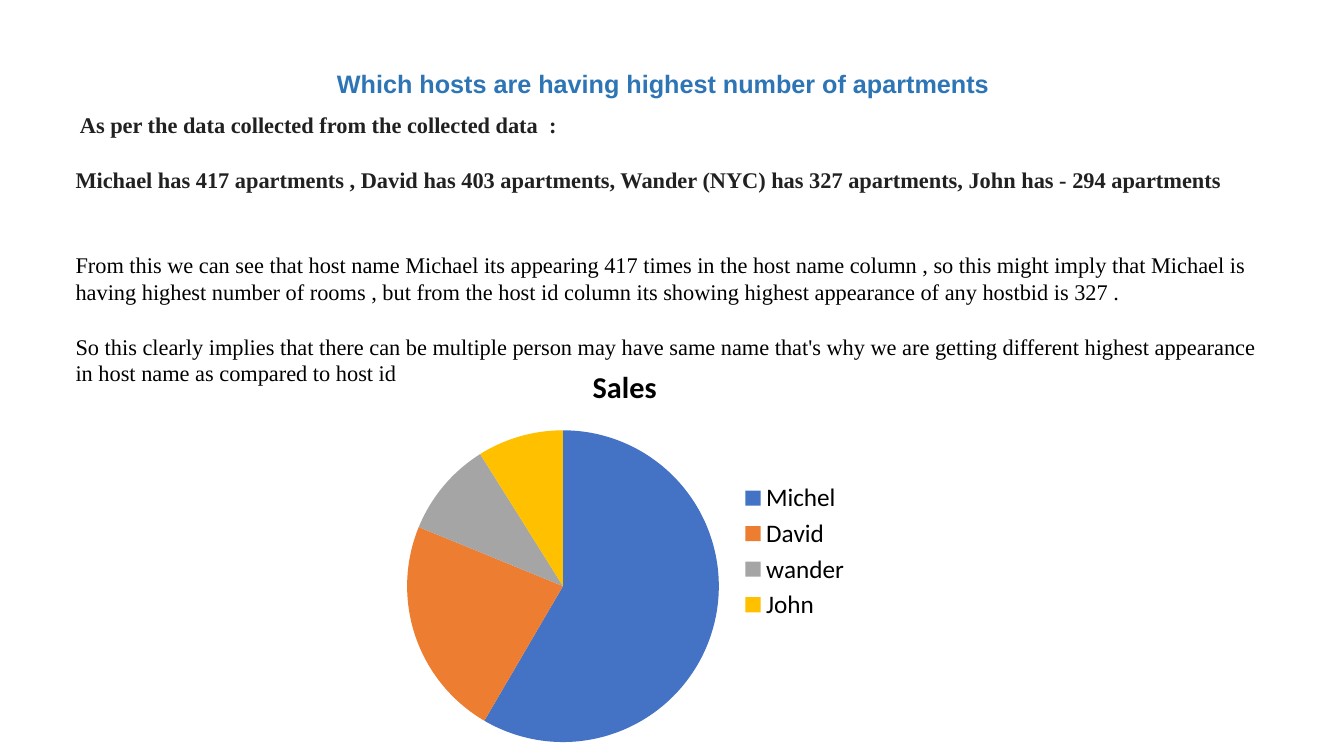
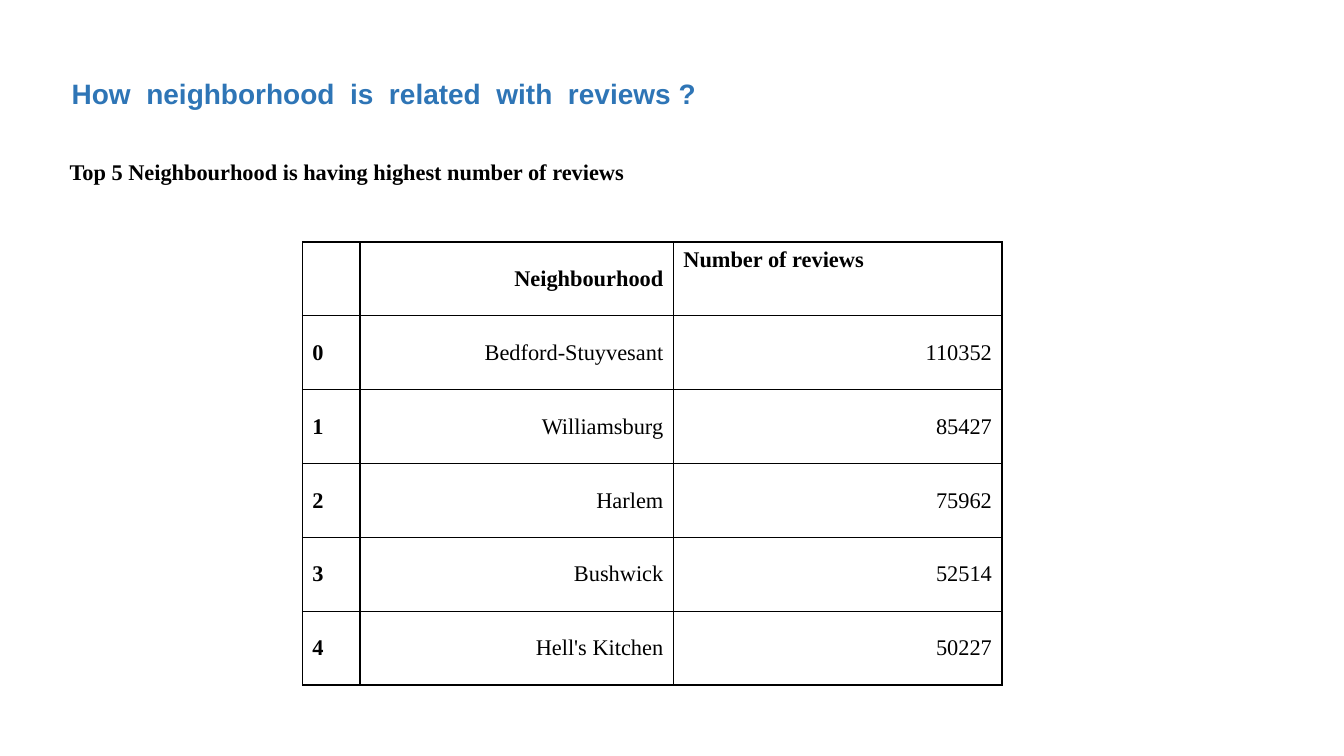
from lxml import etree
from pptx import Presentation
from pptx.chart.data import CategoryChartData
from pptx.dml.color import RGBColor
from pptx.enum import chart as ch, text as tx
from pptx.oxml import ns
from pptx.util import Cm, Pt

# Content
HOSTS_TITLE = "Which hosts are having highest number of apartments "
# text, bold, colour, space before in points
HOST_NOTES = [
    (" As per the data collected from the collected data  :", True, "212121", 0),
    ("Michael has 417 apartments , David has 403 apartments, Wander (NYC) has 327 apartments, "
     "John has - 294 apartments", True, "212121", 20),
    ("From this we can see that host name Michael its appearing 417 times in the host name column , "
     "so this might imply that Michael is having highest number of rooms , but from the host id column "
     "its showing highest appearance of any hostbid is 327 .", False, "000000", 41.5),
    ("So this clearly implies that there can be multiple person may have same name that's why we are "
     "getting different highest appearance in host name as compared to host id", False, "000000", 20),
]
SALES = [("Michel", 59, "4472C4"), ("David", 23, "ED7D31"),
         ("wander", 10, "A5A5A5"), ("John", 9, "FFC000")]

REVIEWS_TITLE = "How  neighborhood  is  related  with  reviews ?"
REVIEWS_NOTES = [("Top 5 Neighbourhood is having highest number of reviews", True, "000000", 0)]
REVIEWS_HEADER = ("", "Neighbourhood", "Number of reviews")
REVIEWS = [("Bedford-Stuyvesant", 110352), ("Williamsburg", 85427), ("Harlem", 75962),
           ("Bushwick", 52514), ("Hell's Kitchen", 50227)]
COLUMN_WIDTHS = (1.45, 7.9, 8.28)
ROW_HEIGHT = 1.86

# Shared style
TITLE_FONT, BODY_FONT, CHART_FONT = "Arial", "Times New Roman", "Calibri"
TITLE_BLUE, BLACK = "2E75B6", "000000"
BODY_SIZE = 16
LEFT, CENTER, RIGHT = tx.PP_ALIGN.LEFT, tx.PP_ALIGN.CENTER, tx.PP_ALIGN.RIGHT
TOP, MIDDLE = tx.MSO_ANCHOR.TOP, tx.MSO_ANCHOR.MIDDLE


def style(font, name, size, color, bold):
    font.name, font.size, font.bold = name, Pt(size), bold
    font.color.rgb = RGBColor.from_string(color)


def place(placeholder, box, anchor):
    placeholder.left, placeholder.top, placeholder.width, placeholder.height = map(Cm, box)
    frame = placeholder.text_frame
    frame.auto_size, frame.word_wrap = tx.MSO_AUTO_SIZE.NONE, True
    frame.vertical_anchor = anchor
    frame.margin_top = frame.margin_bottom = 0
    return frame


def add_slide(prs, title, title_box, title_size, align, notes, notes_box, notes_anchor):
    slide = prs.slides.add_slide(prs.slide_layouts[1])
    heading = place(slide.shapes.title, title_box, MIDDLE)
    heading.text = title
    heading.paragraphs[0].alignment = align
    style(heading.paragraphs[0].font, TITLE_FONT, title_size, TITLE_BLUE, True)

    body = place(slide.placeholders[1], notes_box, notes_anchor)
    body.text = "\n".join(note[0] for note in notes)
    for paragraph, (_, bold, color, gap) in zip(body.paragraphs, notes):
        paragraph.space_before = Pt(gap)
        style(paragraph.font, BODY_FONT, BODY_SIZE, color, bold)
        properties = paragraph._p.get_or_add_pPr()
        properties.set("marL", "0")
        properties.set("indent", "0")
        bullet = etree.Element(ns.qn("a:buNone"))
        properties.find(ns.qn("a:defRPr")).addprevious(bullet)
    return slide


def add_sales_pie(slide):
    data = CategoryChartData()
    data.categories = [host for host, _, _ in SALES]
    data.add_series("Sales", [share for _, share, _ in SALES])
    pie = slide.shapes.add_chart(ch.XL_CHART_TYPE.PIE, Cm(9.8), Cm(8.74),
                                 Cm(11.89), Cm(10.31), data).chart
    style(pie.font, CHART_FONT, 18, BLACK, False)
    pie.has_title = True
    pie.chart_title.text_frame.text = "Sales"
    style(pie.chart_title.text_frame.paragraphs[0].font, CHART_FONT, 21.6, BLACK, True)
    pie.has_legend = True
    pie.legend.position = ch.XL_LEGEND_POSITION.RIGHT
    pie.legend.include_in_layout = False
    pie.plots[0].vary_by_categories = True
    for index, (_, _, color) in enumerate(SALES):
        fill = pie.plots[0].series[0].points[index].format.fill
        fill.solid()
        fill.fore_color.rgb = RGBColor.from_string(color)


def add_borders(cell):
    properties = cell._tc.get_or_add_tcPr()
    for side in ("lnL", "lnR", "lnT", "lnB"):
        line = etree.SubElement(properties, ns.qn(f"a:{side}"), w=str(Pt(1)))
        fill = etree.SubElement(line, ns.qn("a:solidFill"))
        etree.SubElement(fill, ns.qn("a:srgbClr"), val=BLACK)


def add_reviews_table(slide):
    rows = [REVIEWS_HEADER] + [(str(i), name, str(count)) for i, (name, count) in enumerate(REVIEWS)]
    table = slide.shapes.add_table(len(rows), len(COLUMN_WIDTHS), Cm(7.62), Cm(6.1),
                                   Cm(sum(COLUMN_WIDTHS)), Cm(ROW_HEIGHT * len(rows))).table
    table.first_row = table.horz_banding = False
    for column, width in zip(table.columns, COLUMN_WIDTHS):
        column.width = Cm(width)
    for r, values in enumerate(rows):
        table.rows[r].height = Cm(ROW_HEIGHT)
        for c, value in enumerate(values):
            cell = table.cell(r, c)
            count_header = (r, c) == (0, 2)
            cell.text = value
            cell.vertical_anchor = TOP if count_header else MIDDLE
            add_borders(cell)
            cell.fill.background()
            paragraph = cell.text_frame.paragraphs[0]
            paragraph.alignment = LEFT if c == 0 or count_header else RIGHT
            style(paragraph.font, BODY_FONT, BODY_SIZE, BLACK, r == 0 or c == 0)


def main():
    prs = Presentation()
    prs.slide_width, prs.slide_height = Cm(33.87), Cm(19.05)

    # Hosts with the most apartments
    hosts = add_slide(prs, HOSTS_TITLE, (7.85, 1.6, 17.9, 1.02), 18, CENTER,
                      HOST_NOTES, (1.65, 2.8, 30.8, 7), TOP)
    add_sales_pie(hosts)

    # Reviews by neighbourhood
    reviews = add_slide(prs, REVIEWS_TITLE, (1.55, 1.6, 16.6, 1.5), 20, LEFT,
                        REVIEWS_NOTES, (1.5, 3.86, 16, 0.94), MIDDLE)
    add_reviews_table(reviews)

    prs.save("out.pptx")


if __name__ == "__main__":
    main()
